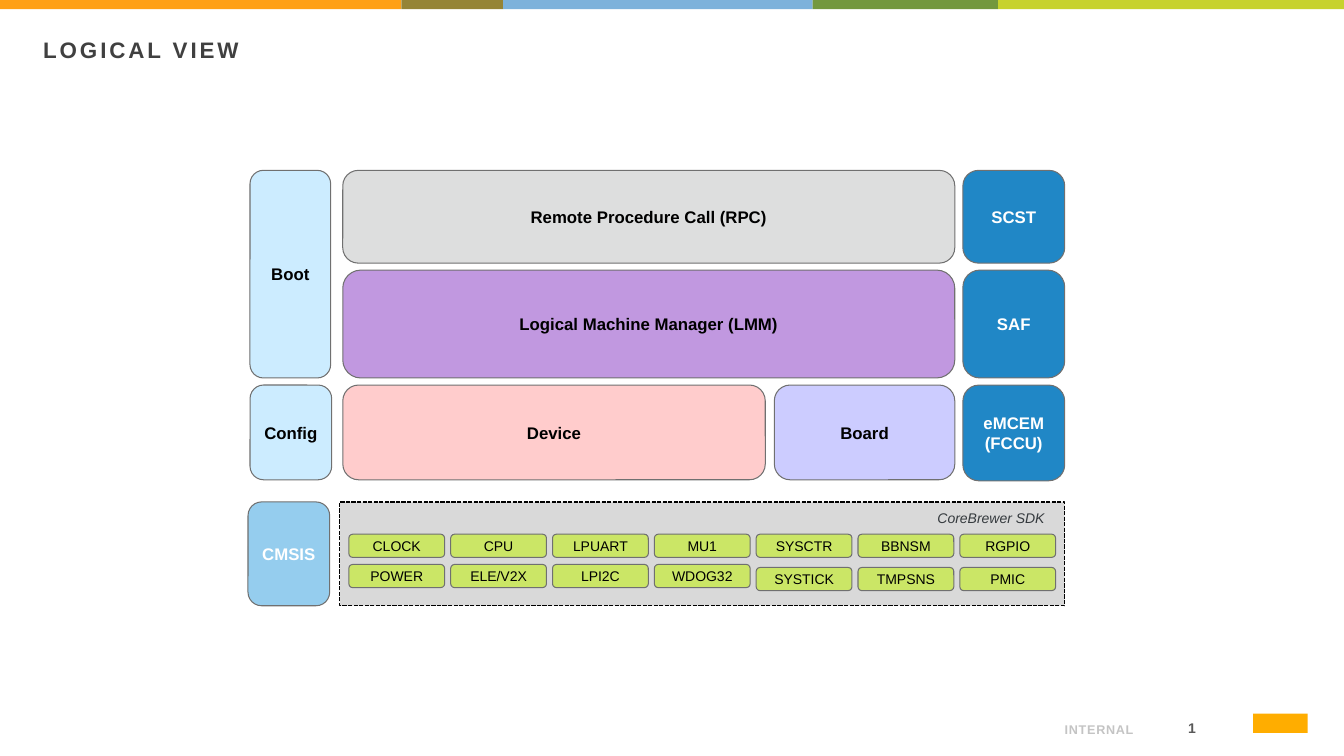
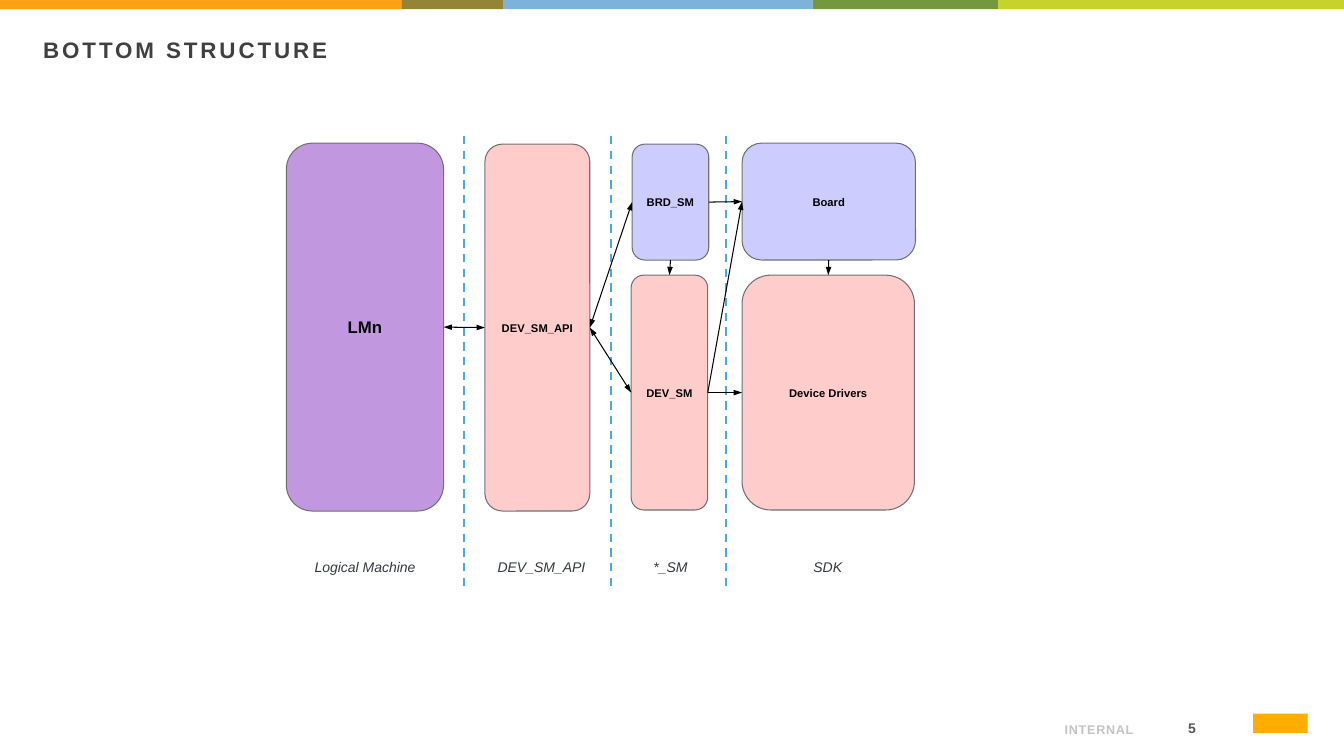
from dataclasses import dataclass
from itertools import accumulate

from lxml.etree import SubElement
from pptx import Presentation
from pptx.dml.color import RGBColor
from pptx.enum.dml import MSO_LINE
from pptx.enum.shapes import MSO_CONNECTOR, MSO_SHAPE
from pptx.enum.text import MSO_ANCHOR, PP_ALIGN
from pptx.oxml.ns import qn
from pptx.util import Inches, Pt


@dataclass(frozen=True)
class Theme:
    font: str = "Arial"
    black: str = "000000"
    white: str = "FFFFFF"
    title: str = "404040"
    page_number: str = "595959"
    internal: str = "C4C4C4"
    caption: str = "353A3E"
    outline: str = "707070"
    divider: str = "4AA8E2"
    panel: str = "D9D9D9"
    pale_blue: str = "CCECFF"
    sky: str = "95CDEE"
    blue: str = "2087C6"
    gray: str = "DDDEDE"
    purple: str = "C198E0"
    pink: str = "FFCCCC"
    lavender: str = "CCCCFF"
    lime: str = "CBE666"
    emblem: str = "FFAD00"
    title_size: float = 16
    box_size: float = 12
    small_size: float = 10
    footer_size: float = 9
    module_size: float = 8


THEME = Theme()
BAND = [(3.98, "FFA015"), (1.01, "958436"), (3.07, "7DB2DB"),
        (1.84, "73983E"), (3.44, "C7D22D")]
TOP, LEFT, BOTTOM, RIGHT = range(4)  # connection sites of a box


@dataclass(frozen=True)
class TextStyle:
    size: float
    color: str = THEME.black
    bold: bool = False
    italic: bool = False
    spacing: float = 0
    align: PP_ALIGN = PP_ALIGN.CENTER
    anchor: MSO_ANCHOR = MSO_ANCHOR.MIDDLE
    wrap: bool = True


TITLE = TextStyle(THEME.title_size, THEME.title, bold=True, spacing=2.1,
                  align=PP_ALIGN.LEFT, anchor=MSO_ANCHOR.TOP)
PAGE_NUMBER = TextStyle(THEME.small_size, THEME.page_number, bold=True,
                        spacing=3, align=PP_ALIGN.RIGHT)
INTERNAL = TextStyle(THEME.footer_size, THEME.internal, bold=True, spacing=0.5,
                     align=PP_ALIGN.RIGHT, anchor=MSO_ANCHOR.BOTTOM)
CAPTION = TextStyle(THEME.small_size, THEME.caption, italic=True,
                    anchor=MSO_ANCHOR.TOP, wrap=False)
SDK_NAME = TextStyle(THEME.small_size, THEME.caption, italic=True,
                     align=PP_ALIGN.LEFT, anchor=MSO_ANCHOR.TOP, wrap=False)
DARK = TextStyle(THEME.box_size, bold=True)
LIGHT = TextStyle(THEME.box_size, THEME.white, bold=True)
MODULE = TextStyle(THEME.module_size, bold=True)
CHIP = TextStyle(THEME.small_size)


@dataclass(frozen=True)
class Box:
    text: str
    left: float
    top: float
    width: float
    height: float
    fill: str
    style: TextStyle = DARK


@dataclass(frozen=True)
class Arrow:
    start: str
    start_site: int
    end: str
    end_site: int
    both_ways: bool = False


# Slide 1: layers of the system manager
LAYERS = [
    Box("CMSIS", 2.46, 4.98, 0.81, 1.03, THEME.sky, LIGHT),
    Box("SAF", 9.55, 2.68, 1.01, 1.07, THEME.blue, LIGHT),
    Box("Device", 3.4, 3.82, 4.19, 0.94, THEME.pink),
    Box("Board", 7.68, 3.82, 1.79, 0.94, THEME.lavender),
    Box("Logical Machine Manager (LMM)", 3.4, 2.68, 6.07, 1.07, THEME.purple),
    Box("Remote Procedure Call (RPC)", 3.4, 1.69, 6.07, 0.92, THEME.gray),
    Box("Boot", 2.48, 1.69, 0.8, 2.06, THEME.pale_blue),
    Box("Config", 2.48, 3.82, 0.81, 0.94, THEME.pale_blue),
    Box("SCST", 9.55, 1.69, 1.01, 0.92, THEME.blue, LIGHT),
    Box("eMCEM\n(FCCU)", 9.55, 3.82, 1.01, 0.95, THEME.blue, LIGHT),
]
# Chip runs: first column, top, names
CHIP_RUNS = [
    (0, 5.3, ["CLOCK", "CPU", "LPUART", "MU1", "SYSCTR", "BBNSM", "RGPIO"]),
    (0, 5.6, ["POWER", "ELE/V2X", "LPI2C", "WDOG32"]),
    (4, 5.63, ["SYSTICK", "TMPSNS", "PMIC"]),
]
CHIP_LEFT, CHIP_PITCH = 3.46, 1.01

# Slide 2: modules, their links and the columns they stand in
MODULES = [
    Box("LMn", 2.84, 1.42, 1.56, 3.65, THEME.purple),
    Box("DEV_SM_API", 4.81, 1.43, 1.04, 3.64, THEME.pink, MODULE),
    Box("BRD_SM", 6.27, 1.43, 0.76, 1.15, THEME.lavender, MODULE),
    Box("DEV_SM", 6.26, 2.73, 0.76, 2.33, THEME.pink, MODULE),
    Box("Board", 7.36, 1.42, 1.72, 1.16, THEME.lavender, MODULE),
    Box("Device Drivers", 7.36, 2.73, 1.71, 2.33, THEME.pink, MODULE),
]
ARROWS = [
    Arrow("LMn", RIGHT, "DEV_SM_API", LEFT, both_ways=True),
    Arrow("DEV_SM_API", RIGHT, "BRD_SM", LEFT, both_ways=True),
    Arrow("DEV_SM_API", RIGHT, "DEV_SM", LEFT, both_ways=True),
    Arrow("BRD_SM", RIGHT, "Board", LEFT),
    Arrow("BRD_SM", BOTTOM, "DEV_SM", TOP),
    Arrow("DEV_SM", RIGHT, "Device Drivers", LEFT),
    Arrow("DEV_SM", RIGHT, "Board", LEFT),
    Arrow("Board", BOTTOM, "Device Drivers", TOP),
]
# Column captions: text, centre
COLUMNS = [("Logical Machine", 3.62), ("DEV_SM_API", 5.37),
           ("*_SM", 6.65), ("SDK", 8.21)]
CAPTION_WIDTH = 1.5
DIVIDERS = [4.6, 6.06, 7.2]


def rgb(color: str) -> RGBColor:
    return RGBColor.from_string(color)


def write_text(shape, text: str, style: TextStyle) -> None:
    frame = shape.text_frame
    frame.word_wrap = style.wrap
    frame.vertical_anchor = style.anchor
    for index, line in enumerate(text.split("\n")):
        paragraph = frame.add_paragraph() if index else frame.paragraphs[0]
        paragraph.alignment = style.align
        run = paragraph.add_run()
        run.text = line
        run.font.name = THEME.font
        run.font.size = Pt(style.size)
        run.font.bold = style.bold
        run.font.italic = style.italic
        run.font.color.rgb = rgb(style.color)
        if style.spacing:
            run.font._element.set("spc", str(round(style.spacing * 100)))


def add_text(slide, text: str, left: float, top: float, width: float,
             height: float, style: TextStyle):
    shape = slide.shapes.add_textbox(Inches(left), Inches(top),
                                     Inches(width), Inches(height))
    write_text(shape, text, style)
    return shape


def add_filled(slide, kind: MSO_SHAPE, left: float, top: float, width: float,
               height: float, fill: str):
    shape = slide.shapes.add_shape(kind, Inches(left), Inches(top),
                                   Inches(width), Inches(height))
    shape.shadow.inherit = False
    shape.fill.solid()
    shape.fill.fore_color.rgb = rgb(fill)
    shape.line.fill.background()
    return shape


def set_line(shape, color: str, width: float, dash: MSO_LINE | None = None) -> None:
    shape.line.color.rgb = rgb(color)
    shape.line.width = Pt(width)
    if dash is not None:
        shape.line.dash_style = dash


def add_box(slide, box: Box):
    shape = add_filled(slide, MSO_SHAPE.ROUNDED_RECTANGLE, box.left, box.top,
                       box.width, box.height, box.fill)
    set_line(shape, THEME.outline, 0.75)
    write_text(shape, box.text, box.style)
    return shape


def add_line(slide, x1: float, y1: float, x2: float, y2: float, color: str,
             width: float, dash: MSO_LINE | None = None):
    connector = slide.shapes.add_connector(
        MSO_CONNECTOR.STRAIGHT, Inches(x1), Inches(y1), Inches(x2), Inches(y2))
    set_line(connector, color, width, dash)
    SubElement(connector._element.spPr, qn("a:effectLst"))
    return connector


def add_arrow(slide, arrow: Arrow, shapes: dict) -> None:
    connector = add_line(slide, 0, 0, 0, 0, THEME.black, 0.75)
    connector.begin_connect(shapes[arrow.start], arrow.start_site)
    connector.end_connect(shapes[arrow.end], arrow.end_site)
    line = connector.line._get_or_add_ln()
    for tag in ["a:headEnd", "a:tailEnd"] if arrow.both_ways else ["a:tailEnd"]:
        SubElement(line, qn(tag), type="triangle", w="sm", len="med")


def add_base_slide(presentation, title: str, number: int):
    """Add a slide with the shared band, title and footer."""
    slide = presentation.slides.add_slide(presentation.slide_layouts[6])
    lefts = accumulate((width for width, _ in BAND), initial=0)
    for left, (width, color) in zip(lefts, BAND):
        add_filled(slide, MSO_SHAPE.RECTANGLE, left, 0, width, 0.09, color)
    add_text(slide, title, 0.33, 0.31, 12.75, 0.72, TITLE)
    add_text(slide, "INTERNAL", 8.51, 7.02, 2.83, 0.34, INTERNAL)
    page = add_text(slide, str(number), 11.28, 7.07, 0.65, 0.3, PAGE_NUMBER)
    page.text_frame.margin_left = page.text_frame.margin_right = Inches(0.07)
    page.text_frame.margin_top = page.text_frame.margin_bottom = Inches(0.04)
    add_filled(slide, MSO_SHAPE.RECTANGLE, 12.43, 7.08, 0.54, 0.19, THEME.emblem)
    return slide


def build_logical_view(presentation) -> None:
    slide = add_base_slide(presentation, "LOGICAL VIEW", 1)
    # SDK panel
    panel = add_filled(slide, MSO_SHAPE.RECTANGLE, 3.37, 4.98, 7.19, 1.03,
                       THEME.panel)
    set_line(panel, THEME.black, 1, MSO_LINE.SQUARE_DOT)
    add_text(slide, "CoreBrewer SDK", 9.2, 5.01, 1.37, 0.26, SDK_NAME)
    # Layers and driver chips
    for box in LAYERS:
        add_box(slide, box)
    for first_column, top, names in CHIP_RUNS:
        for column, name in enumerate(names, first_column):
            add_box(slide, Box(name, CHIP_LEFT + column * CHIP_PITCH, top,
                               0.95, 0.23, THEME.lime, CHIP))


def build_bottom_structure(presentation) -> None:
    slide = add_base_slide(presentation, "BOTTOM STRUCTURE", 5)
    # Columns
    for x in DIVIDERS:
        add_line(slide, x, 1.35, x, 5.85, THEME.divider, 1.5, MSO_LINE.DASH)
    for caption, center in COLUMNS:
        add_text(slide, caption, center - CAPTION_WIDTH / 2, 5.49,
                 CAPTION_WIDTH, 0.24, CAPTION)
    # Modules and links
    shapes = {box.text: add_box(slide, box) for box in MODULES}
    for arrow in ARROWS:
        add_arrow(slide, arrow, shapes)


def main() -> None:
    presentation = Presentation()
    presentation.slide_width = Inches(13.33)
    presentation.slide_height = Inches(7.5)
    build_logical_view(presentation)
    build_bottom_structure(presentation)
    presentation.save("out.pptx")


if __name__ == "__main__":
    main()
